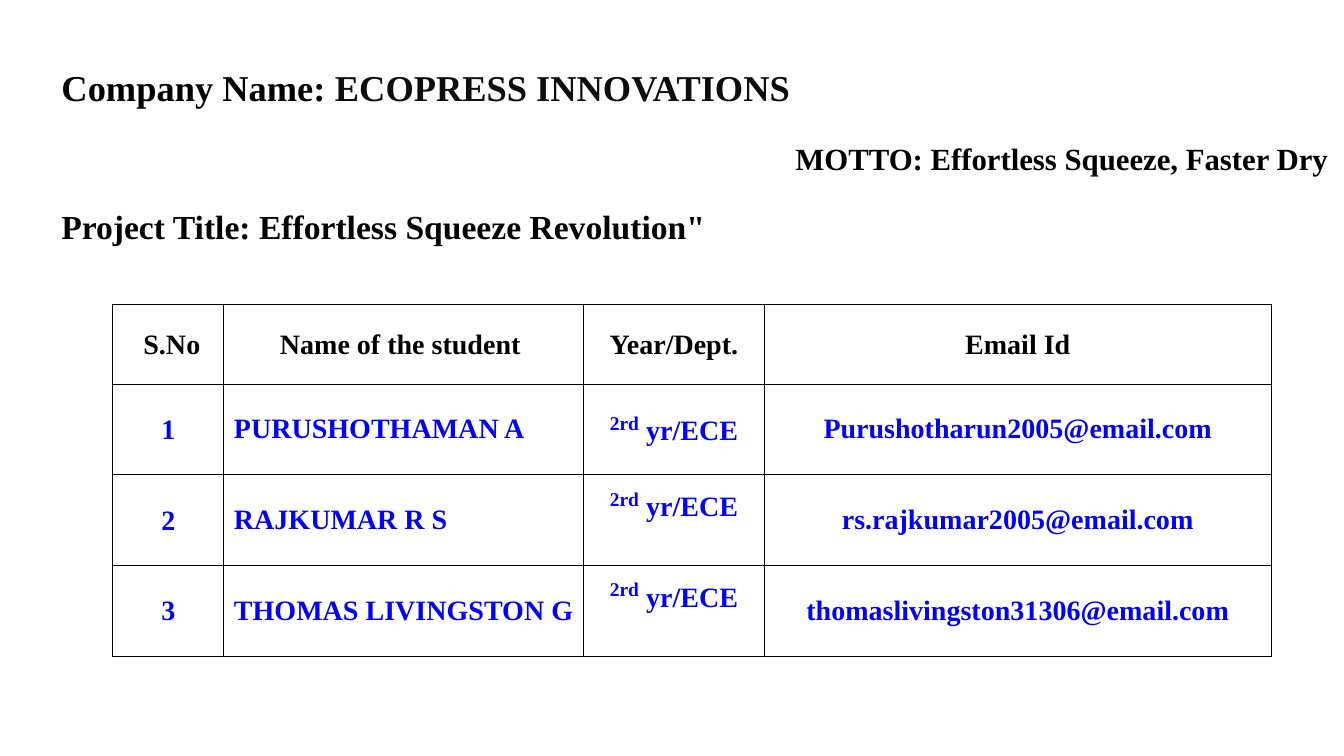
from lxml.etree import SubElement
from pptx import Presentation
from pptx.dml.color import RGBColor
from pptx.enum.text import MSO_ANCHOR as Anchor, MSO_AUTO_SIZE as AutoSize, PP_ALIGN as Align
from pptx.oxml.ns import qn
from pptx.util import Inches, Pt

BLACK, BLUE = "000000", "0000FF"


def add_span(para, text, size, color, raised=False):
    span = para.add_run()
    span.text = text
    look = {"name": "Times New Roman", "size": Pt(size), "bold": True}
    for key, value in look.items():
        setattr(span.font, key, value)
    span.font.color.rgb = RGBColor.from_string(color)
    if raised:
        span.font._element.set("baseline", "30000")


def set_border(cell):
    properties = cell._tc.get_or_add_tcPr()
    for index, side in enumerate(("lnL", "lnR", "lnT", "lnB")):
        line = SubElement(properties, qn(f"a:{side}"), w=str(Pt(0.75)))
        fill = SubElement(line, qn("a:solidFill"))
        SubElement(fill, qn("a:srgbClr"), val=BLACK)
        properties.insert(index, line)


deck = Presentation()
deck.slide_width, deck.slide_height = Inches(13.33), Inches(7.5)
page = deck.slides.add_slide(deck.slide_layouts[5])

headings = [
    (0.51, 0.6, 8.21, 0.98, 26, [("Company Name: ", BLACK), ("ECOPRESS INNOVATIONS", "0D0D0D")]),
    (7.79, 1.34, 5.55, 0.47, 22, [("MOTTO: Effortless Squeeze, Faster Dry", BLACK)]),
    (0.51, 1.99, 8.45, 0.5, 24, [('Project Title: Effortless Squeeze Revolution"', BLACK)]),
]
for index, (left, top, width, height, size, spans) in enumerate(headings):
    place = [Inches(length) for length in (left, top, width, height)]
    box = page.shapes.title if index == 0 else page.shapes.add_textbox(*place)
    box.left, box.top, box.width, box.height = place
    frame = box.text_frame
    layout = {"word_wrap": True, "auto_size": AutoSize.NONE, "vertical_anchor": Anchor.TOP}
    for key, value in layout.items():
        setattr(frame, key, value)
    para = frame.paragraphs[0]
    para.alignment = Align.LEFT
    for text, color in spans:
        add_span(para, text, size, color)

students = [
    ("PURUSHOTHAMAN A", "Purushotharun2005@email.com"),
    ("RAJKUMAR R S", "rs.rajkumar2005@email.com"),
    ("THOMAS LIVINGSTON G", "thomaslivingston31306@email.com"),
]
rows = [(" S.No", "Name of the student ", "Year/Dept.", "Email Id")]
for number, (name, email) in enumerate(students, 1):
    rows.append((str(number), name, " yr/ECE", email))

widths = [1.1, 3.57, 1.79, 5.03]
heights = [0.79, 0.9, 0.9, 0.9]
table = page.shapes.add_table(
    len(rows), len(widths), Inches(1.12), Inches(3.02), Inches(sum(widths)), Inches(sum(heights))
).table
table.first_row = table.horz_banding = False
for column, width in zip(table.columns, widths):
    column.width = Inches(width)
for row, height in zip(table.rows, heights):
    row.height = Inches(height)

for r, texts in enumerate(rows):
    for c, text in enumerate(texts):
        cell = table.cell(r, c)
        cell.fill.background()
        set_border(cell)
        cell.vertical_anchor = Anchor.MIDDLE
        margins = (0.01, 0.01, 0.01, 0) if r == 0 or c == 0 else (0.1, 0.05, 0.1, 0.05)
        if c == 2 and r > 1:
            margins = (0.1, 0.05, 0.1, 0.35)
        for side, margin in zip(("left", "top", "right", "bottom"), margins):
            setattr(cell, f"margin_{side}", Inches(margin))
        para = cell.text_frame.paragraphs[0]
        para.alignment = Align.LEFT if r and c == 1 else Align.CENTER
        color = BLUE if r else BLACK
        if r and c == 2:
            add_span(para, "2rd", 24, color, raised=True)
        add_span(para, text, 20, color)

deck.save("out.pptx")
